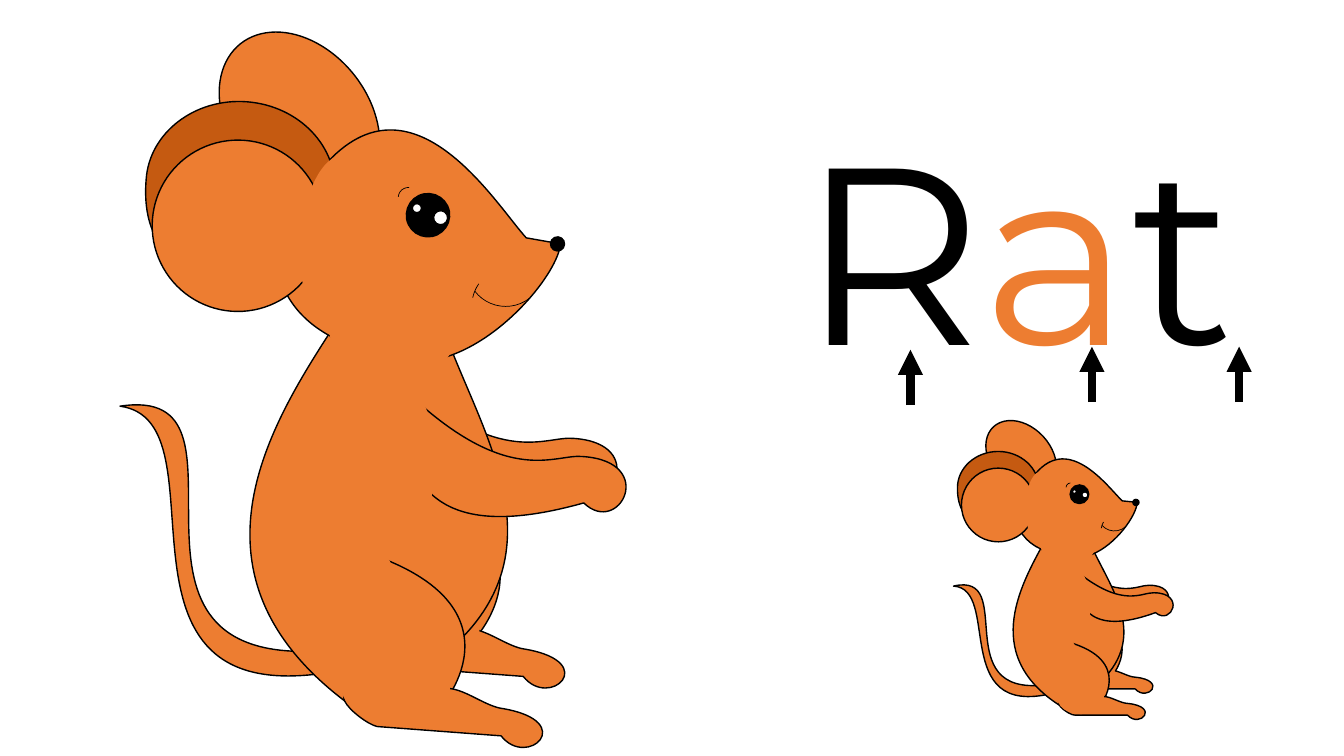
import math
from lxml import etree
from pptx import Presentation
from pptx.dml.color import RGBColor
from pptx.enum import shapes, text
from pptx.oxml import ns
from pptx.util import Inches, Pt

BLACK = RGBColor(0x00, 0x00, 0x00)
WHITE = RGBColor(0xFF, 0xFF, 0xFF)
ORANGE = RGBColor(0xED, 0x7D, 0x31)
BROWN = RGBColor(0xC5, 0x5A, 0x11)

LETTERS = [("R", BLACK), ("a", ORANGE), ("t", BLACK)]
LETTER_FORMAT = {"name": "Montserrat", "size": Pt(180)}
WORD_BOX = (7.84, 0.88, 5.5, 3.13)
ARROWS = [(9.03, 4.02), (10.83, 3.99), (12.29, 3.99)]
ARROW_LENGTH = 0.55

OUTLINES = {
    "arm": [(4.11, 3.96), (3.83, 4.29), (4.16, 4.41, 3.97, 5.5, 5.79, 4.99),
            (6.14, 5.33, 6.53, 4.58, 5.78, 4.53), (5.51, 4.5, 5.07, 4.83, 4.11, 3.96)],
    "leg": [(3.74, 5.52), (2.93, 5.46), (3.43, 6.94), (4.32, 7.06),
            (4.39, 7.03, 5.21, 6.06, 3.74, 5.52)],
    "foot": [(4.99, 7.03), (4.82, 7.01, 4.62, 6.84, 4.45, 6.83), (3.79, 6.94),
             (3.02, 6.7, 3.64, 7.23, 3.77, 7.21), (4.97, 7.3),
             (5.23, 7.63, 5.74, 7.16, 4.99, 7.03)],
    "tail": [(3.13, 6.46), (0.85, 6.56, 2.7, 3.8, 1.19, 4.03),
             (2.29, 4.18, 0.87, 7.06, 3.27, 6.67)],
    "body": [(4.35, 3.11), (3.44, 3.04), (2.82, 4.01, 1.63, 5.61, 3.44, 6.97),
             (4.52, 6.39), (5.62, 5.35, 4.66, 4.14, 4.35, 3.11)],
    "head": [(2.76, 2.71), (2.82, 2.22, 2.93, 2.05, 3.17, 1.7),
             (4.06, 0.6, 4.91, 2.02, 5.22, 2.36), (5.56, 2.42),
             (5.53, 2.71, 5, 3.36, 4.43, 3.54), (3.96, 3.59, 2.97, 3.48, 2.76, 2.71)],
    "ear": [(3.32, 1.93), (3.36, 1.46, 2.97, 1.05, 2.45, 1.01),
            (1.93, 0.97, 1.48, 1.32, 1.45, 1.78), (1.41, 2.25, 1.58, 2.73, 2.32, 2.7),
            (3.06, 2.67, 3.29, 2.39, 3.32, 1.93)],
    "thigh": [(3.54, 6.93), (3.86, 6.96, 4, 6.26, 3.98, 5.97),
              (3.97, 5.69, 3.77, 5.26, 3.45, 5.23), (2.75, 5.1, 2.8, 5.6, 2.81, 5.89),
              (2.83, 6.17, 3.22, 6.91, 3.54, 6.93)],
}

PARTS = [
    ("outline", "arm", (-0.09, -0.18), ORANGE, 1),
    ("outline", "leg", (0.35, -0.69), ORANGE, 1),
    ("outline", "foot", (0.22, -0.59), ORANGE, 1),
    ("oval", (3.85, 5.68, 0.73, 1.08), 94.3, ORANGE, 0),
    ("outline", "tail", (0, 0), ORANGE, 1),
    ("outline", "body", (0, 0), ORANGE, 1),
    ("oval", (2.03, 0.48, 1.88, 1.38), 51.5, ORANGE, 1),
    ("outline", "head", (0, 0), ORANGE, 1),
    ("outline", "ear", (0, 0), BROWN, 1),
    ("oval", (1.51, 1.39, 1.7, 1.7), 4.3, ORANGE, 1),
    ("outline", "leg", (0, 0), ORANGE, 1),
    ("outline", "foot", (0, 0), ORANGE, 1),
    ("outline", "arm", (0, 0), ORANGE, 1),
    ("oval", (5.46, 2.35, 0.14, 0.14), 4.3, BLACK, 1),
    ("oval", (4.03, 1.92, 0.43, 0.43), 4.3, BLACK, 1),
    ("arc", (3.95, 1.86, 0.2, 0.2), 4.3, (108, 162), 0.5),
    ("oval", (4.3, 2.09, 0.14, 0.14), 4.3, WHITE, 1),
    ("oval", (4.09, 2.02, 0.09, 0.09), 4.3, WHITE, 1),
    ("oval", (2.98, 1.54, 0.73, 1.7), 4.3, ORANGE, 0),
    ("oval", (3.58, 3.84, 0.73, 1.7), 4.3, ORANGE, 0),
    ("outline", "thigh", (0, 0), ORANGE, 0),
    ("oval", (3.56, 6.29, 0.73, 1.08), 94.3, ORANGE, 0),
    ("oval", (3.26, 2.67, 1.28, 1.13), 4.3, ORANGE, 0),
    ("arc", (4.63, 2.27, 0.77, 0.77), 142.6, (162, 0), 0.5),
    ("arc", (4.68, 2.65, 0.77, 0.77), 282.4, (162, 175.4), 0.5),
]

BODY_CENTRE = (3.78, 5.03)
BIG_RAT = {"centre": BODY_CENTRE, "scale": 1, "turn": 0}
SMALL_RAT = {"centre": (10.6, 6.16), "scale": 0.43, "turn": -4.3}
CURVE_STEPS = 24


def bezier(points):
    for step in range(1, CURVE_STEPS + 1):
        t = step / CURVE_STEPS
        weights = ((1 - t) ** 3, 3 * t * (1 - t) ** 2, 3 * t * t * (1 - t), t ** 3)
        yield tuple(sum(w * p[axis] for w, p in zip(weights, points)) for axis in (0, 1))


def place(point, centre, scale, turn):
    dx, dy = (value - middle for value, middle in zip(point, BODY_CENTRE))
    cos, sin = math.cos(math.radians(turn)), math.sin(math.radians(turn))
    return (centre[0] + scale * (dx * cos - dy * sin),
            centre[1] + scale * (dx * sin + dy * cos))


def add_outline(group, name, shift, rat):
    segments = [[place((x + shift[0], y + shift[1]), **rat)
                 for x, y in zip(segment[::2], segment[1::2])] for segment in OUTLINES[name]]
    edge = []
    for segment in segments:
        edge.extend(segment if len(segment) == 1 else bezier([edge[-1], *segment]))
    xs, ys = ([Inches(value) for value in values] for values in zip(*edge))
    left, top, right, bottom = min(xs), min(ys), max(xs), max(ys)
    builder = group.shapes.build_freeform(left, top, scale=1.0)
    builder.add_line_segments([(right, top), (right, bottom), (left, bottom)], close=True)
    shape = builder.convert_to_shape()
    contour = next(shape._element.iter(ns.qn("a:path")))
    for child in list(contour):
        contour.remove(child)
    for index, segment in enumerate(segments):
        tag = "a:moveTo" if index == 0 else "a:lnTo" if len(segment) == 1 else "a:cubicBezTo"
        move = etree.SubElement(contour, ns.qn(tag))
        for x, y in segment:
            etree.SubElement(move, ns.qn("a:pt"), x=str(Inches(x) - left), y=str(Inches(y) - top))
    etree.SubElement(contour, ns.qn("a:close"))
    return shape


def add_preset(group, kind, frame, rotation, rat):
    left, top, width, height = frame
    x, y = place((left + width / 2, top + height / 2), **rat)
    width, height = width * rat["scale"], height * rat["scale"]
    preset = shapes.MSO_SHAPE.OVAL if kind == "oval" else shapes.MSO_SHAPE.ARC
    shape = group.shapes.add_shape(preset, Inches(x - width / 2), Inches(y - height / 2),
                                   Inches(width), Inches(height))
    shape.rotation = rotation + rat["turn"]
    return shape


def draw_rat(page, rat):
    group = page.shapes.add_group_shape()
    for kind, geometry, placement, fill, width in PARTS:
        if kind == "outline":
            shape = add_outline(group, geometry, placement, rat)
        else:
            shape = add_preset(group, kind, geometry, placement, rat)
        shape.shadow.inherit = False
        if kind == "arc":
            shape.adjustments[0], shape.adjustments[1] = fill
            shape.fill.background()
        else:
            shape.fill.solid()
            shape.fill.fore_color.rgb = fill
        if width:
            shape.line.color.rgb = BLACK
            shape.line.width = Pt(width)
        else:
            shape.line.fill.background()


def draw_word(page):
    box = page.shapes.add_textbox(*map(Inches, WORD_BOX))
    box.text_frame.word_wrap = True
    box.text_frame.auto_size = text.MSO_AUTO_SIZE.SHAPE_TO_FIT_TEXT
    para = box.text_frame.paragraphs[0]
    for letter, color in LETTERS:
        span = para.add_run()
        span.text = letter
        for name, value in LETTER_FORMAT.items():
            setattr(span.font, name, value)
        span.font.color.rgb = color


def draw_arrow(page, x, bottom):
    arrow = page.shapes.add_connector(shapes.MSO_CONNECTOR.STRAIGHT, Inches(x), Inches(bottom),
                                      Inches(x), Inches(bottom - ARROW_LENGTH))
    arrow.line.color.rgb = BLACK
    arrow.line.width = Pt(6)
    properties = arrow._element.spPr
    etree.SubElement(properties.find(ns.qn("a:ln")), ns.qn("a:tailEnd"), type="triangle")
    etree.SubElement(properties, ns.qn("a:effectLst"))


def main():
    deck = Presentation()
    deck.slide_width, deck.slide_height = Inches(13.33), Inches(7.5)
    page = deck.slides.add_slide(deck.slide_layouts[6])
    draw_word(page)
    draw_rat(page, BIG_RAT)
    for x, bottom in ARROWS:
        draw_arrow(page, x, bottom)
    draw_rat(page, SMALL_RAT)
    deck.save("out.pptx")


if __name__ == "__main__":
    main()
